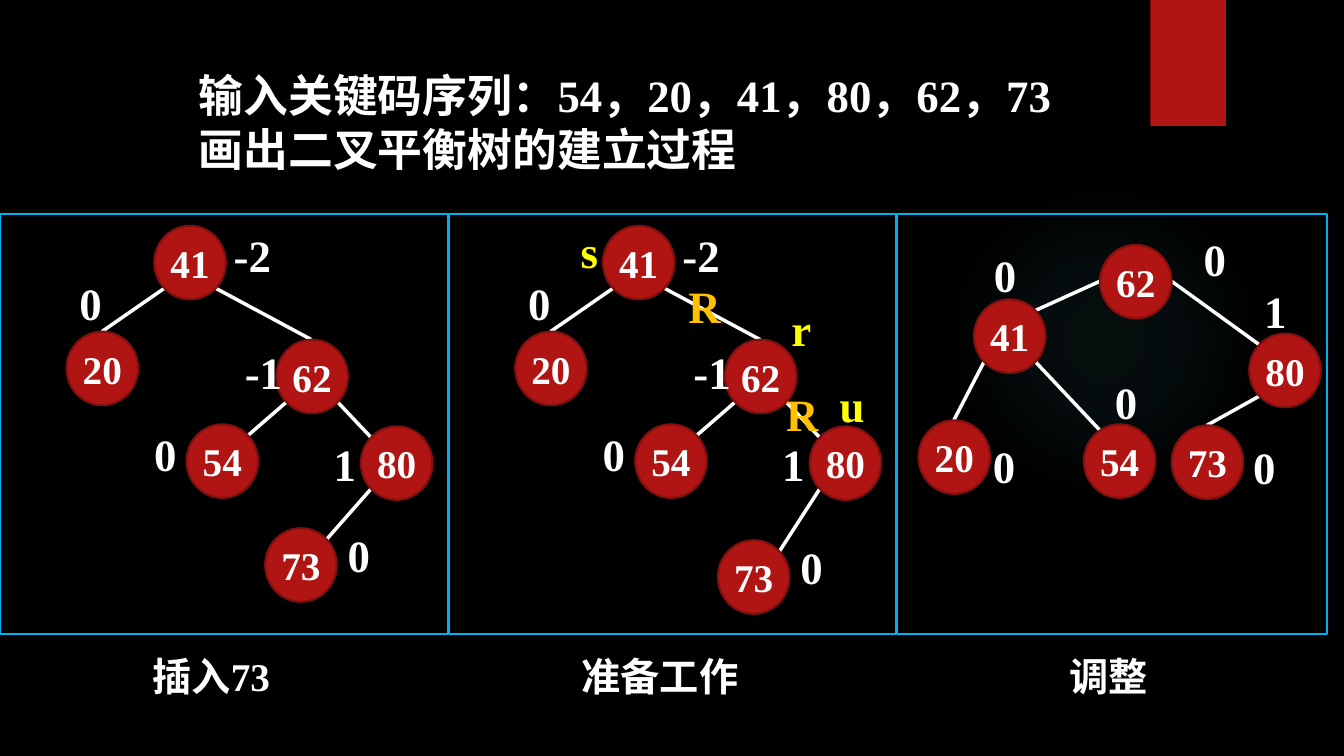
from dataclasses import dataclass

from lxml.etree import SubElement
from pptx import Presentation
from pptx.dml.color import RGBColor
from pptx.enum.shapes import MSO_CONNECTOR, MSO_SHAPE
from pptx.enum.text import MSO_ANCHOR, MSO_AUTO_SIZE, PP_ALIGN
from pptx.oxml import parse_xml
from pptx.oxml.ns import nsdecls, qn
from pptx.util import Emu, Pt


@dataclass(frozen=True)
class Theme:
    font: str = "Times New Roman"
    background: str = "000000"
    text: str = "FFFFFF"
    node: str = "B01513"
    node_line: str = "82100E"
    frame: str = "00B0F0"
    pointer: str = "FFFF00"
    rotation: str = "FFC000"
    glow: str = "50B9C1"
    large: int = 32
    medium: int = 28
    outline: float = 1.5
    edge: float = 2.5


THEME = Theme()
EMU_PER_PX = 9144  # 100 px to the inch
NODE_WIDTH, NODE_HEIGHT = 71, 73
LABEL_SIZE = 66
FRAME_HEIGHT = 417

# Points on a node, from its top left corner
SITES = {
    "top": (35, 0), "left": (0, 36), "right": (71, 36),
    "upper left": (10, 11), "upper right": (61, 11),
    "lower left": (10, 62), "lower right": (61, 62),
    "near top": (16, 6),
}

# Key: (x, y, balance factor, offset of the factor from the node)
INSERTED_NODES = {
    "41": (153, 12, "-2", 69, -3),
    "20": (66, 117, "0", 3, -60),
    "62": (274, 125, "-1", -41, 0),
    "80": (358, 211, "1", -37, 5),
    "54": (185, 209, "0", -42, -3),
    "73": (263, 312, "0", 72, -5),
}
PREPARED_NODES = {**INSERTED_NODES, "73": (267, 324, "0", 72, -5)}
BALANCED_NODES = {
    "41": (76, 85, "0", 10, -56),
    "20": (21, 205, "0", 64, 13),
    "62": (201, 31, "0", 93, -18),
    "80": (349, 119, "1", 5, -54),
    "54": (185, 209, "0", 21, -54),
    "73": (272, 210, "0", 71, 9),
}
INSERTED_EDGES = [
    ("41", "lower left", "20", "top"),
    ("41", "lower right", "62", "top"),
    ("62", "lower left", "54", "upper right"),
    ("62", "lower right", "80", "upper left"),
    ("80", "lower left", "73", "upper right"),
]
BALANCED_EDGES = [
    ("62", "left", "41", "upper right"),
    ("62", "right", "80", "upper left"),
    ("41", "lower left", "20", "top"),
    ("41", "lower right", "54", "near top"),
    ("80", "lower left", "73", "top"),
]
ROTATION_MARKS = [
    ("s", 121, 5, THEME.pointer), ("r", 330, 82, THEME.pointer),
    ("u", 378, 158, THEME.pointer),
    ("R", 228, 60, THEME.rotation), ("R", 325, 167, THEME.rotation),
]
# Caption, left, width, nodes, edges, marks
PANELS = [
    ("插入73", 0, 444, INSERTED_NODES, INSERTED_EDGES, []),
    ("准备工作", 445, 444, PREPARED_NODES, INSERTED_EDGES, ROTATION_MARKS),
    ("调整", 890, 426, BALANCED_NODES, BALANCED_EDGES, []),
]


def px(*lengths):
    return [Emu(length * EMU_PER_PX) for length in lengths]


def color(value):
    return RGBColor.from_string(value)


def write(shape, text, size, text_color=THEME.text, align=PP_ALIGN.LEFT):
    frame = shape.text_frame
    frame.text = text
    frame.word_wrap = True
    paragraph = frame.paragraphs[0]
    paragraph.alignment = align
    font = paragraph.runs[0].font
    font.name, font.size, font.bold = THEME.font, Pt(size), True
    font.color.rgb = color(text_color)


def add_plain_shape(shapes, kind, box, fill=None, line=None):
    shape = shapes.add_shape(kind, *px(*box))
    shape.shadow.inherit = False
    if fill:
        shape.fill.solid()
        shape.fill.fore_color.rgb = color(fill)
    else:
        shape.fill.background()
    if line:
        shape.line.color.rgb = color(line)
        shape.line.width = Pt(THEME.outline)
    else:
        shape.line.fill.background()
    return shape


def add_label(shapes, text, box, size=THEME.large, text_color=THEME.text,
              align=PP_ALIGN.LEFT):
    label = shapes.add_textbox(*px(*box))
    write(label, text, size, text_color, align)
    label.text_frame.auto_size = MSO_AUTO_SIZE.SHAPE_TO_FIT_TEXT


def add_node(shapes, key, left, top):
    node = add_plain_shape(shapes, MSO_SHAPE.OVAL,
                           (left, top, NODE_WIDTH, NODE_HEIGHT),
                           THEME.node, THEME.node_line)
    write(node, key, THEME.medium, align=PP_ALIGN.CENTER)
    frame = node.text_frame
    frame.vertical_anchor = MSO_ANCHOR.MIDDLE
    frame.margin_left = frame.margin_right = 0


def add_edge(shapes, start, end):
    edge = shapes.add_connector(MSO_CONNECTOR.STRAIGHT, *px(*start, *end))
    edge.line.color.rgb = color(THEME.text)
    edge.line.width = Pt(THEME.edge)
    SubElement(edge._element.spPr, qn("a:effectLst"))


def add_panel(slide, box, caption, nodes, edges, marks):
    left, top, width, height = box
    shapes = slide.shapes.add_group_shape().shapes

    def site_position(key, site):
        x, y = nodes[key][:2]
        dx, dy = SITES[site]
        return left + x + dx, top + y + dy

    add_plain_shape(shapes, MSO_SHAPE.RECTANGLE, box, line=THEME.frame)
    add_label(shapes, caption, (left + 15, top + height + 13, 389, 57),
              THEME.medium, align=PP_ALIGN.CENTER)
    for parent, parent_site, child, child_site in edges:
        add_edge(shapes, site_position(parent, parent_site),
                 site_position(child, child_site))
    for key, (x, y, _, _, _) in nodes.items():
        add_node(shapes, key, left + x, top + y)
    factors = [(balance, x + dx, y + dy, THEME.text)
               for x, y, balance, dx, dy in nodes.values()]
    for text, x, y, text_color in factors + marks:
        add_label(shapes, text, (left + x, top + y, LABEL_SIZE, LABEL_SIZE),
                  text_color=text_color)


def add_backdrop(slide, glow_box, ribbon_box):
    slide.background.fill.solid()
    slide.background.fill.fore_color.rgb = color(THEME.background)
    glow = add_plain_shape(slide.shapes, MSO_SHAPE.OVAL, glow_box)
    stops = "".join(
        f'<a:gs pos="{position * 1000}"><a:srgbClr val="{THEME.glow}">'
        f'<a:alpha val="{alpha * 1000}"/></a:srgbClr></a:gs>'
        for position, alpha in [(0, 7), (36, 6), (69, 0)])
    gradient = parse_xml(
        f'<a:gradFill {nsdecls("a")}><a:gsLst>{stops}</a:gsLst>'
        '<a:path path="circle"><a:fillToRect l="50000" t="50000" '
        'r="50000" b="50000"/></a:path></a:gradFill>')
    properties = glow._element.spPr
    properties.replace(properties.find(qn("a:noFill")), gradient)
    add_plain_shape(slide.shapes, MSO_SHAPE.RECTANGLE, ribbon_box, THEME.node)


def place_title(slide, text, box):
    title = slide.shapes.title
    title.left, title.top, title.width, title.height = px(*box)
    write(title, text, THEME.large)
    title.text_frame.vertical_anchor = MSO_ANCHOR.TOP
    title.text_frame.auto_size = MSO_AUTO_SIZE.SHAPE_TO_FIT_TEXT


def main():
    presentation = Presentation()
    presentation.slide_width, presentation.slide_height = px(1333, 750)
    slide = presentation.slides.add_slide(presentation.slide_layouts[5])
    add_backdrop(slide, (941, 183, 308, 308), (1141, 0, 75, 125))
    place_title(slide, "输入关键码序列：54，20，41，80，62，73画出二叉平衡树的建立过程",
                (187, 62, 899, 118))
    for caption, left, width, nodes, edges, marks in PANELS:
        add_panel(slide, (left, 212, width, FRAME_HEIGHT), caption,
                  nodes, edges, marks)
    presentation.save("out.pptx")


if __name__ == "__main__":
    main()
